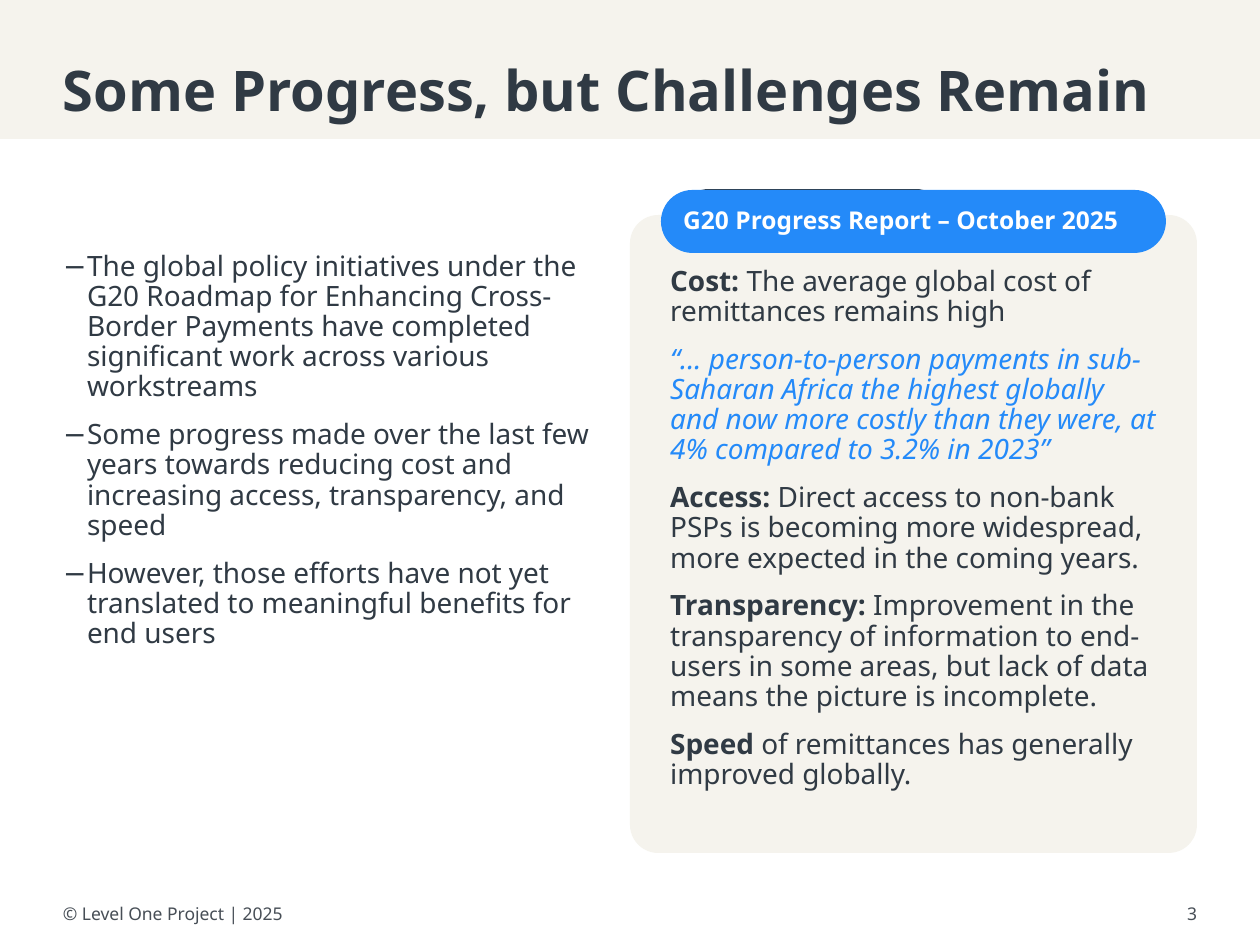
from dataclasses import dataclass

from lxml.etree import SubElement
from pptx import Presentation
from pptx.dml.color import RGBColor
from pptx.enum.shapes import MSO_SHAPE
from pptx.enum.text import MSO_ANCHOR, PP_ALIGN
from pptx.oxml.ns import qn
from pptx.util import Emu, Pt

EMU_PER_PX = 914400 / 126
FONT = "Noto Sans"
DARK, BLUE, CREAM, WHITE, GREY = "303A44", "248AF9", "F5F3ED", "FFFFFF", "474E56"


@dataclass(frozen=True)
class Area:
    left: int
    top: int
    width: int
    height: int


@dataclass(frozen=True)
class Span:
    text: str
    bold: bool = False


@dataclass(frozen=True)
class Para:
    spans: tuple[Span, ...]
    color: str = DARK
    size: int = 16
    italic: bool = False
    bullet: bool = False
    align: PP_ALIGN = PP_ALIGN.LEFT
    line_spacing: float = 0.9


def px(length: int) -> Emu:
    return Emu(round(length * EMU_PER_PX))


def rgb(color: str) -> RGBColor:
    return RGBColor.from_string(color)


def add_panel(page, area: Area, fill: str, corner: float = 0):
    kind = MSO_SHAPE.ROUNDED_RECTANGLE if corner else MSO_SHAPE.RECTANGLE
    panel = page.shapes.add_shape(
        kind, px(area.left), px(area.top), px(area.width), px(area.height)
    )
    if corner:
        panel.adjustments[0] = corner
    panel.shadow.inherit = False
    panel.fill.solid()
    panel.fill.fore_color.rgb = rgb(fill)
    panel.line.fill.background()
    return panel


def add_box(page, area: Area):
    return page.shapes.add_textbox(
        px(area.left), px(area.top), px(area.width), px(area.height)
    )


def add_bullet(paragraph, color: str) -> None:
    properties = paragraph._p.get_or_add_pPr()
    properties.set("marL", str(px(24)))
    properties.set("indent", str(px(-24)))
    bullet_color = SubElement(properties, qn("a:buClr"))
    SubElement(bullet_color, qn("a:srgbClr"), val=color)
    SubElement(properties, qn("a:buFont"), typeface=FONT)
    SubElement(properties, qn("a:buChar"), char="−")


def write(
    box,
    paras: list[Para],
    insets: tuple[int, int, int, int] = (0, 0, 0, 0),
    anchor: MSO_ANCHOR = MSO_ANCHOR.TOP,
) -> None:
    frame = box.text_frame
    frame.word_wrap = True
    frame.vertical_anchor = anchor
    frame.margin_left, frame.margin_top, frame.margin_right, frame.margin_bottom = map(
        px, insets
    )
    for index, para in enumerate(paras):
        paragraph = frame.add_paragraph() if index else frame.paragraphs[0]
        paragraph.alignment = para.align
        paragraph.line_spacing = para.line_spacing
        if index:
            paragraph.space_before = Pt(10)
        if para.bullet:
            add_bullet(paragraph, para.color)
        font = paragraph.font
        font.name, font.size, font.italic = FONT, Pt(para.size), para.italic
        font.color.rgb = rgb(para.color)
        for span in para.spans:
            run = paragraph.add_run()
            run.text = span.text
            run.font.name, run.font.size = FONT, Pt(para.size)
            run.font.bold, run.font.italic = span.bold, para.italic
            run.font.color.rgb = rgb(para.color)


def finding(label: str, text: str) -> Para:
    return Para((Span(label, bold=True), Span(text)))


FINDINGS = [
    finding("Cost: ", "The average global cost of remittances remains high"),
    Para(
        (
            Span(
                "“... person-to-person payments in sub-Saharan Africa the highest "
                "globally and now more costly than they were, at 4% compared to "
                "3.2% in 2023”"
            ),
        ),
        color=BLUE,
        italic=True,
    ),
    finding(
        "Access: ",
        "Direct access to non-bank PSPs is becoming more widespread, more expected "
        "in the coming years.",
    ),
    finding(
        "Transparency: ",
        "Improvement in the transparency of information to end-users in some areas, "
        "but lack of data means the picture is incomplete.",
    ),
    finding("Speed ", "of remittances has generally improved globally."),
]

POINTS = [
    "The global policy initiatives under the G20 Roadmap for Enhancing Cross-Border "
    "Payments have completed significant work across various workstreams",
    "Some progress made over the last few years towards reducing cost and increasing "
    "access, transparency, and speed",
    "However, those efforts have not yet translated to meaningful benefits for end users",
]

FOOTERS = [
    (Area(63, 882, 262, 63), "© Level One Project | 2025", PP_ALIGN.LEFT),
    (Area(1134, 882, 63, 63), "3", PP_ALIGN.RIGHT),
]


def main() -> None:
    deck = Presentation()
    deck.slide_width, deck.slide_height = px(1260), px(945)
    page = deck.slides.add_slide(deck.slide_layouts[6])

    report = add_panel(page, Area(630, 215, 567, 638), CREAM, corner=0.05)
    write(report, FINDINGS, insets=(32, 44, 32, 32))

    title = add_panel(page, Area(0, 0, 1260, 139), CREAM)
    heading = Span("Some Progress, but Challenges Remain", bold=True)
    write(title, [Para((heading,), size=32)], insets=(63, 63, 63, 25))

    add_panel(page, Area(680, 189, 265, 58), DARK, corner=0.5)
    badge = add_panel(page, Area(661, 190, 505, 63), BLUE, corner=0.5)
    badge_text = Span("G20 Progress Report – October 2025", bold=True)
    write(
        badge,
        [Para((badge_text,), color=WHITE, size=14)],
        insets=(13, 3, 13, 3),
        anchor=MSO_ANCHOR.MIDDLE,
    )

    points = add_box(page, Area(63, 252, 536, 563))
    write(points, [Para((Span(text),), bullet=True) for text in POINTS])

    for area, text, align in FOOTERS:
        footer = Para((Span(text),), color=GREY, size=10, align=align, line_spacing=1.0)
        write(add_box(page, area), [footer], anchor=MSO_ANCHOR.MIDDLE)

    deck.save("out.pptx")


if __name__ == "__main__":
    main()
